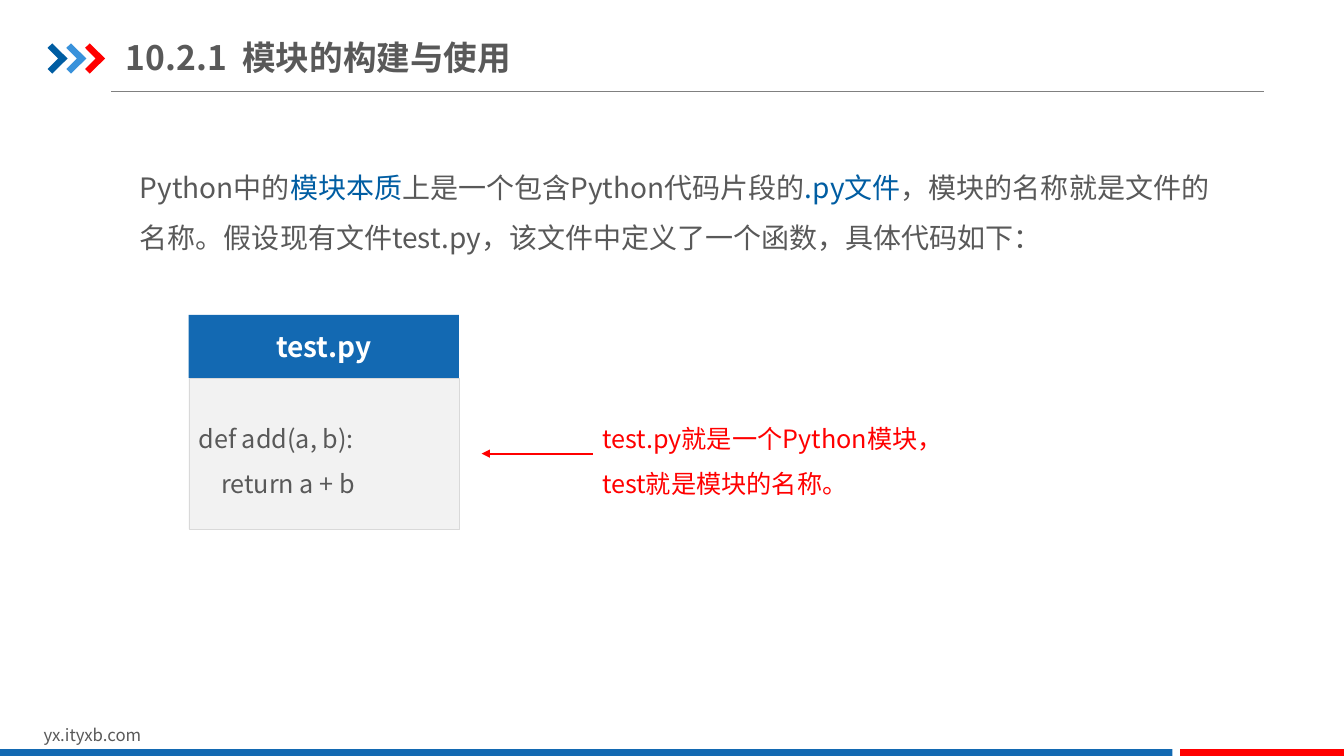
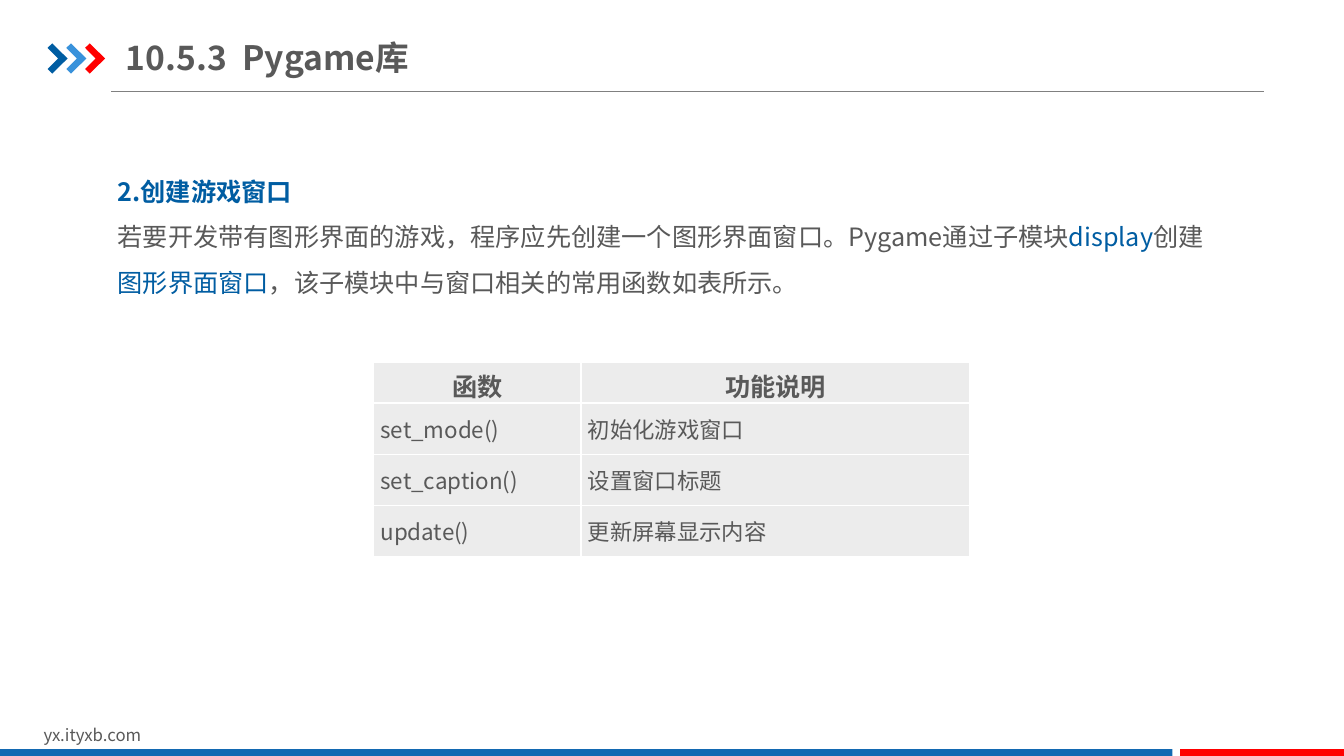
from lxml import etree
from pptx import Presentation
from pptx.dml.color import RGBColor
from pptx.enum.shapes import MSO_CONNECTOR, MSO_SHAPE
from pptx.enum.text import MSO_ANCHOR, PP_ALIGN
from pptx.oxml.ns import qn
from pptx.util import Pt

RECTANGLE = MSO_SHAPE.RECTANGLE
STRAIGHT = MSO_CONNECTOR.STRAIGHT
TOP, MIDDLE = MSO_ANCHOR.TOP, MSO_ANCHOR.MIDDLE
LEFT, CENTER = PP_ALIGN.LEFT, PP_ALIGN.CENTER

FONT = "Noto Sans CJK SC"
GREY = RGBColor(0x59, 0x59, 0x59)
RULE_GREY = RGBColor(0x80, 0x80, 0x80)
DEEP_BLUE = RGBColor(0x00, 0x5D, 0xA2)
SKY_BLUE = RGBColor(0x39, 0x92, 0xDB)
BAND_BLUE = RGBColor(0x13, 0x69, 0xB2)
RED = RGBColor(0xFF, 0x00, 0x00)
WHITE = RGBColor(0xFF, 0xFF, 0xFF)
CODE_FILL = RGBColor(0xF2, 0xF2, 0xF2)
CODE_EDGE = RGBColor(0xD9, 0xD9, 0xD9)
CELL_FILL = RGBColor(0xEC, 0xEC, 0xEC)

SLIDE_WIDTH, SLIDE_HEIGHT = 960, 540
DEFAULT_INSETS = (7.2, 3.6)

WEBSITE = "yx.ityxb.com"
CHEVRON_COLORS = [DEEP_BLUE, SKY_BLUE, RED]
CHEVRON_OUTLINE = [(0, 3.2), (3.4, 0), (14.3, 10.8), (3.4, 21.6), (0, 18.3), (7.5, 10.8)]
CHEVRON_LEFT, CHEVRON_TOP, CHEVRON_PITCH = 34, 31, 13.4
FOOTER_BANDS = [(0, 837.5, BAND_BLUE), (843, 117, RED)]
BAND_TOP, BAND_HEIGHT = 535, 6.5

MODULE_TITLE = "10.2.1  模块的构建与使用"
MODULE_INTRO = [[
    ("Python中的", GREY), ("模块本质", DEEP_BLUE),
    ("上是一个包含Python代码片段的", GREY), (".py文件", DEEP_BLUE),
    ("，模块的名称就是文件的名称。假设现有文件test.py，该文件中定义了一个函数，具体代码如下：", GREY),
]]
CODE_NAME = [[("test.py", WHITE, True)]]
CODE_LINES = [[("def add(a, b):", GREY)], [("    return a + b", GREY)]]
MODULE_NOTE = [[("test.py就是一个Python模块，test就是模块的名称。", RED)]]
CODE_LEFT, CODE_TOP, CODE_WIDTH = 134.8, 225, 193
CODE_HEADER_HEIGHT, CODE_BODY_HEIGHT = 45, 108

PYGAME_TITLE = "10.5.3  Pygame库"
WINDOW_INTRO = [
    [("2.创建游戏窗口", DEEP_BLUE, True)],
    [("若要开发带有图形界面的游戏，程序应先创建一个图形界面窗口。Pygame通过子模块", GREY),
     ("display", DEEP_BLUE), ("创建", GREY), ("图形界面窗口", DEEP_BLUE),
     ("，该子模块中与窗口相关的常用函数如表所示。", GREY)],
]
FUNCTION_ROWS = [
    ("函数", "功能说明"),
    ("set_mode()", "初始化游戏窗口"),
    ("set_caption()", "设置窗口标题"),
    ("update()", "更新屏幕显示内容"),
]
FUNCTION_COLUMNS = [148.2, 277.8]
HEADER_ROW_HEIGHT, BODY_ROW_HEIGHT = 29, 36.6


def write(frame, paragraphs, size, spacing=1, align=LEFT):
    for index, parts in enumerate(paragraphs):
        paragraph = frame.add_paragraph() if index else frame.paragraphs[0]
        paragraph.alignment = align
        paragraph.line_spacing = spacing
        for text, color, *bold in parts:
            run = paragraph.add_run()
            run.text = text
            run.font.size = Pt(size)
            run.font.bold = bool(bold)
            run.font.color.rgb = color
            run.font.name = FONT
            etree.SubElement(run.font._element, qn("a:ea"), typeface=FONT)


def set_frame(frame, anchor, insets=DEFAULT_INSETS):
    frame.word_wrap = True
    frame.vertical_anchor = anchor
    frame.margin_left = frame.margin_right = Pt(insets[0])
    frame.margin_top = frame.margin_bottom = Pt(insets[1])


def add_text(slide, box, paragraphs, size, spacing=1, anchor=TOP, insets=DEFAULT_INSETS):
    frame = slide.shapes.add_textbox(*map(Pt, box)).text_frame
    set_frame(frame, anchor, insets)
    write(frame, paragraphs, size, spacing)


def paint(shape, fill):
    shape.shadow.inherit = False
    shape.fill.solid()
    shape.fill.fore_color.rgb = fill
    shape.line.fill.background()


def add_panel(slide, box, fill):
    panel = slide.shapes.add_shape(RECTANGLE, *map(Pt, box))
    paint(panel, fill)
    set_frame(panel.text_frame, MIDDLE)
    return panel


def add_line(slide, start, end, color, width):
    line = slide.shapes.add_connector(STRAIGHT, *map(Pt, start + end))
    line.line.color.rgb = color
    line.line.width = Pt(width)
    etree.SubElement(line._element.spPr, qn("a:effectLst"))
    return line


def draw_shared(slide):
    add_line(slide, (79.5, 65.5), (903, 65.5), RULE_GREY, 0.75)
    for index, color in enumerate(CHEVRON_COLORS):
        left = CHEVRON_LEFT + index * CHEVRON_PITCH
        first, *rest = [(Pt(left + x), Pt(CHEVRON_TOP + y)) for x, y in CHEVRON_OUTLINE]
        outline = slide.shapes.build_freeform(*first)
        outline.add_line_segments(rest, close=True)
        paint(outline.convert_to_shape(), color)
    add_text(slide, (24, 514, 229, 22), [[(WEBSITE, GREY)]], 12)
    for left, width, color in FOOTER_BANDS:
        add_panel(slide, (left, BAND_TOP, width, BAND_HEIGHT), color)


def move_to_layout(slide, layout):
    for placeholder in list(layout.placeholders):
        layout.shapes.element.remove(placeholder.element)
    for shape in list(slide.shapes):
        layout.shapes.element.append(shape.element)


def add_title(slide, title):
    add_text(slide, (90, 21, 418, 39.5), [[(title, GREY, True)]], 24,
             anchor=MIDDLE, insets=(0, 5))


def build_module_slide(slide):
    add_title(slide, MODULE_TITLE)
    add_text(slide, (92.8, 106, 784, 76), MODULE_INTRO, 20, 1.5)
    body = add_panel(slide, (CODE_LEFT, CODE_TOP + CODE_HEADER_HEIGHT,
                             CODE_WIDTH, CODE_BODY_HEIGHT), CODE_FILL)
    body.line.color.rgb = CODE_EDGE
    body.line.width = Pt(0.25)
    write(body.text_frame, CODE_LINES, 18, 1.5)
    header = add_panel(slide, (CODE_LEFT, CODE_TOP, CODE_WIDTH, CODE_HEADER_HEIGHT), BAND_BLUE)
    write(header.text_frame, CODE_NAME, 20, align=CENTER)
    add_text(slide, (423, 288, 285, 69), MODULE_NOTE, 18, 1.5)
    arrow = add_line(slide, (423.5, 324), (344, 324), RED, 1.5)
    etree.SubElement(arrow.line._get_or_add_ln(), qn("a:tailEnd"), type="triangle")


def border_cell(cell):
    properties = cell._tc.get_or_add_tcPr()
    for side in ("lnL", "lnR", "lnT", "lnB"):
        edge = etree.SubElement(properties, qn(f"a:{side}"), w=str(Pt(1)))
        fill = etree.SubElement(edge, qn("a:solidFill"))
        etree.SubElement(fill, qn("a:srgbClr"), val=str(WHITE))


def add_function_table(slide):
    heights = [HEADER_ROW_HEIGHT] + [BODY_ROW_HEIGHT] * (len(FUNCTION_ROWS) - 1)
    box = (266.8, 258.8, sum(FUNCTION_COLUMNS), sum(heights))
    table = slide.shapes.add_table(len(heights), len(FUNCTION_COLUMNS), *map(Pt, box)).table
    table.first_row = table.horz_banding = False
    for column, width in zip(table.columns, FUNCTION_COLUMNS):
        column.width = Pt(width)
    for index, (row, height, texts) in enumerate(zip(table.rows, heights, FUNCTION_ROWS)):
        row.height = Pt(height)
        for cell, text in zip(row.cells, texts):
            border_cell(cell)
            cell.fill.solid()
            cell.fill.fore_color.rgb = CELL_FILL
            cell.vertical_anchor = MIDDLE
            if index:
                cell.margin_left = cell.margin_right = Pt(5)
                cell.margin_top = cell.margin_bottom = 0
                write(cell.text_frame, [[(text, GREY)]], 16)
            else:
                write(cell.text_frame, [[(text, GREY, True)]], 18, align=CENTER)


def build_pygame_slide(slide):
    add_title(slide, PYGAME_TITLE)
    add_text(slide, (77, 111.5, 805, 108), WINDOW_INTRO, 18, 1.5)
    add_function_table(slide)


def main():
    presentation = Presentation()
    presentation.slide_width = Pt(SLIDE_WIDTH)
    presentation.slide_height = Pt(SLIDE_HEIGHT)
    blank = presentation.slide_layouts[6]
    module_slide = presentation.slides.add_slide(blank)
    draw_shared(module_slide)
    move_to_layout(module_slide, blank)
    build_module_slide(module_slide)
    build_pygame_slide(presentation.slides.add_slide(blank))
    presentation.save("out.pptx")


if __name__ == "__main__":
    main()
